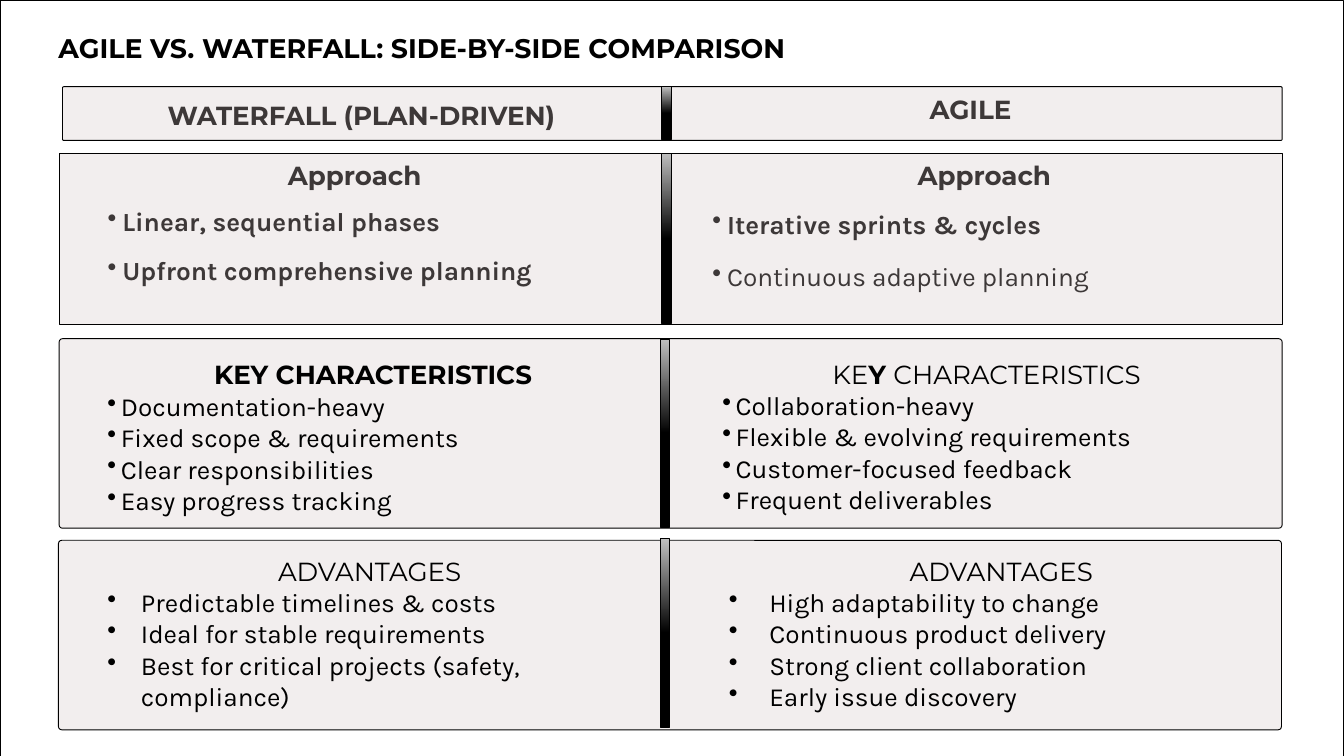
from lxml import etree
from pptx import Presentation
from pptx.dml.color import RGBColor
from pptx.enum import shapes, text
from pptx.oxml.ns import qn
from pptx.util import Inches, Pt

HEAD, BODY = "Montserrat", "Karla"
BLACK, GREY, PANEL = "000000", "3D3838", "F2EEEE"
LEFT, RIGHT, MID = text.PP_ALIGN.LEFT, text.PP_ALIGN.RIGHT, text.PP_ALIGN.CENTER


def color(code):
    return RGBColor.from_string(code)


def add_block(slide, x, y, w, h, fill=None, round=0):
    """Outlined box; a round above zero gives rounded corners."""
    kind = shapes.MSO_SHAPE.ROUNDED_RECTANGLE if round else shapes.MSO_SHAPE.RECTANGLE
    block = slide.shapes.add_shape(kind, Inches(x), Inches(y), Inches(w), Inches(h))
    if round:
        block.adjustments[0] = round / min(w, h)
    block.shadow.inherit = False
    block.line.color.rgb = color(BLACK)
    block.line.width = Pt(1)
    if fill:
        block.fill.solid()
        block.fill.fore_color.rgb = color(fill)
    return block


def add_bar(slide, x, y, h):
    """Divider that fades from grey to black over its top half."""
    fill = add_block(slide, x, y, 0.14, h).fill
    fill.gradient()
    fill.gradient_angle = 270
    for stop, place, code in zip(fill.gradient_stops, (0, 0.5), ("BFBFBF", BLACK)):
        stop.position = place
        stop.color.rgb = color(code)


def set_frame(frame, inset=0):
    frame.word_wrap = True
    frame.auto_size = text.MSO_AUTO_SIZE.NONE
    frame.vertical_anchor = text.MSO_ANCHOR.TOP
    frame.margin_left = frame.margin_right = Inches(inset)
    frame.margin_top = frame.margin_bottom = Inches(inset / 2)
    return frame


def add_box(slide, x, y, w, h, inset=0):
    box = slide.shapes.add_textbox(Inches(x), Inches(y), Inches(w), Inches(h))
    return set_frame(box.text_frame, inset)


def write(frame, words, font=HEAD, size=28, code=BLACK, bold=False,
          align=LEFT, line=None, before=0, hang=0):
    """Add a paragraph; words is a string or a list of (string, bold)."""
    para = frame.paragraphs[0]
    if para.runs:
        para = frame.add_paragraph()
    para.alignment = align
    if hang:
        props = para._p.get_or_add_pPr()
        props.set("marL", str(Inches(hang)))
        props.set("indent", str(-Inches(hang)))
        etree.SubElement(props, qn("a:buChar")).set("char", "•")
    para.space_before = Pt(before)
    if line:
        para.line_spacing = Pt(line)
    for part, heavy in [(words, bold)] if isinstance(words, str) else words:
        run = para.add_run()
        run.text = part
        run.font.name, run.font.size, run.font.bold = font, Pt(size), heavy
        run.font.color.rgb = color(code)


def add_label(slide, words, x, y, w):
    frame = add_box(slide, x, y, w, 0.4)
    write(frame, words, code=GREY, bold=True, align=RIGHT, line=17.5)


def add_plan(slide, x, y, items, line, before):
    """Widely spaced bullets of the approach row; items are (string, bold)."""
    frame = add_box(slide, x, y, 7.75, 1.2)
    for i, (words, bold) in enumerate(items):
        write(frame, words, font=BODY, code=GREY, bold=bold, line=line,
              before=before if i else 0, hang=0.22)


def add_list(slide, x, y, w, head, items, hang):
    """Centred heading with bullets below it."""
    frame = add_box(slide, x, y, w, 2.5, inset=0.1)
    write(frame, head, align=MID)
    for words in items:
        write(frame, words, font=BODY, hang=hang)


def main():
    deck = Presentation()
    deck.slide_width, deck.slide_height = Inches(20), Inches(11.25)
    slide = deck.slides.add_slide(deck.slide_layouts[5])
    add_block(slide, 0, 0, 20, 11.25, "FFFFFF")

    # Title, brought in front of the page
    title = slide.shapes.title
    slide.shapes._spTree.append(title._element)
    title.left, title.top = Inches(0.87), Inches(0.46)
    title.width, title.height = Inches(14.79), Inches(0.5)
    write(set_frame(title.text_frame), "AGILE VS. WATERFALL: SIDE-BY-SIDE COMPARISON",
          size=28.8, bold=True, line=35.6)

    # Row panels with their dividers: x, y, w, h, round, bar x, bar y, bar h
    rows = [(0.93, 1.29, 18.15, 0.8, 0.02, 9.85, 1.29, 0.79),
            (0.88, 2.29, 18.2, 2.54, 0, 9.85, 2.28, 2.54),
            (0.88, 5.04, 18.2, 2.82, 0.05, 9.83, 5.05, 2.8),
            (0.87, 8.04, 18.2, 2.82, 0.05, 9.83, 8.02, 2.8)]
    for x, y, w, h, round, bar, top, tall in rows:
        add_block(slide, x, y, w, h, PANEL, round)
        add_bar(slide, bar, top, tall)

    # Column heads
    add_label(slide, "WATERFALL (PLAN-DRIVEN)", 2.27, 1.7, 5.99)
    add_label(slide, "AGILE", 13.55, 1.62, 1.5)

    # Approach
    for x in (4.25, 13.62):
        add_label(slide, "Approach", x, 2.59, 2.02)
    add_plan(slide, 1.6, 3.28, [("Linear, sequential phases", True),
                                ("Upfront comprehensive planning", True)], 17.5, 35)
    add_plan(slide, 10.6, 3.3, [("Iterative sprints & cycles", True),
                                ("Continuous adaptive planning", False)], 18.8, 37.6)

    # Key characteristics
    add_list(slide, 1.5, 5.29, 8.1, [("KEY CHARACTERISTICS", True)],
             ["Documentation-heavy", "Fixed scope & requirements",
              "Clear responsibilities", "Easy progress tracking"], 0.2)
    add_list(slide, 10.65, 5.28, 8.06,
             [("KE", False), ("Y ", True), ("CHARACTERISTICS", False)],
             ["Collaboration-heavy", "Flexible & evolving requirements",
              "Customer-focused feedback", "Frequent deliverables"], 0.2)

    # Advantages
    add_list(slide, 1.5, 8.21, 8, "ADVANTAGES",
             ["Predictable timelines & costs", "Ideal for stable requirements",
              "Best for critical projects (safety, compliance)"], 0.5)
    add_list(slide, 10.75, 8.21, 8.3, "ADVANTAGES",
             ["High adaptability to change", "Continuous product delivery",
              "Strong client collaboration", "Early issue discovery"], 0.6)

    deck.save("out.pptx")


if __name__ == "__main__":
    main()
